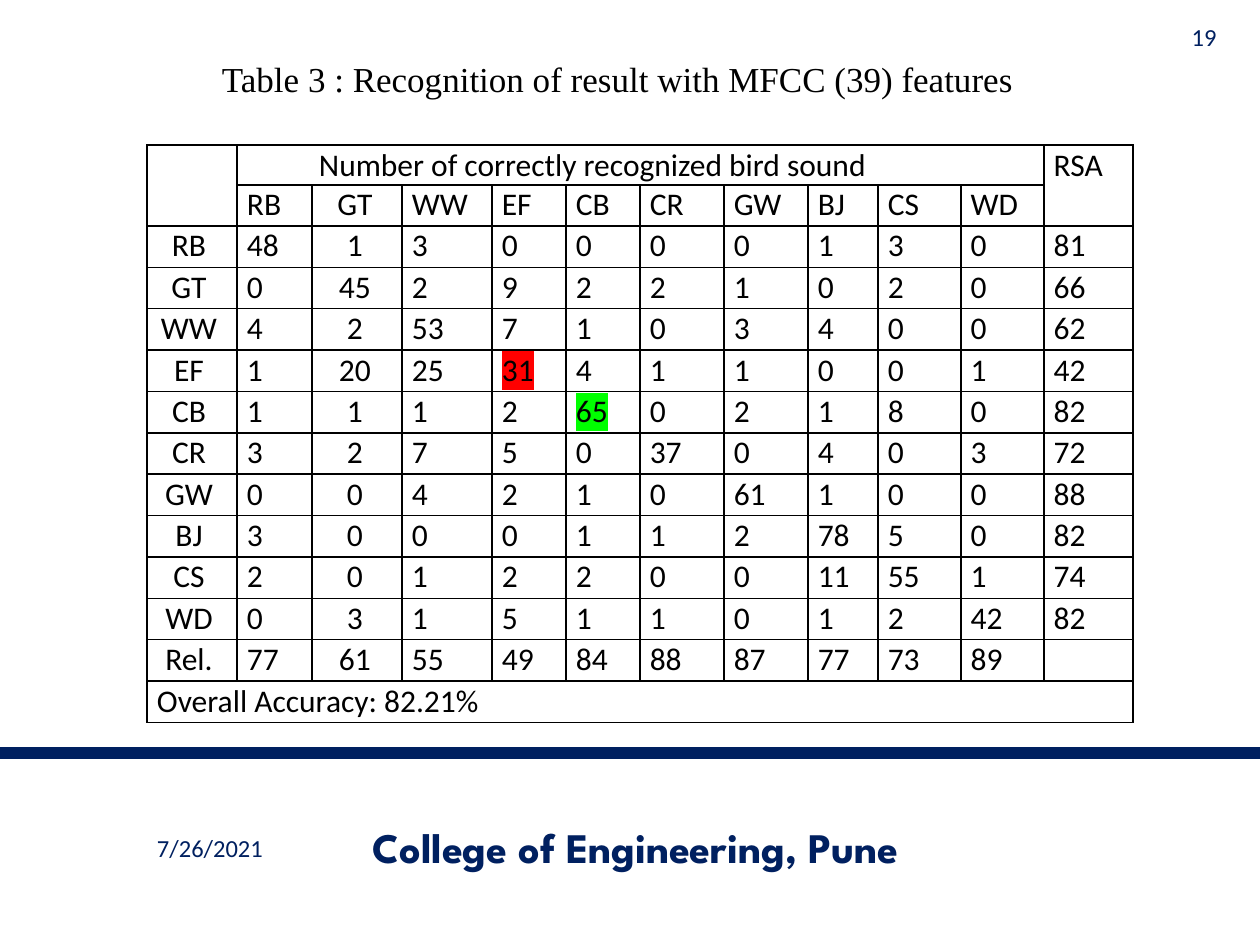
from dataclasses import dataclass

from lxml import etree
from pptx import Presentation
from pptx import util as u
from pptx.dml.color import RGBColor
from pptx.enum import shapes, text
from pptx.oxml.ns import qn

ALIGN = text.PP_ALIGN
ANCHOR = text.MSO_ANCHOR


@dataclass(frozen=True)
class Theme:
    navy: str = "002060"
    black: str = "000000"
    low: str = "FF0000"
    high: str = "00FF00"
    body_font: str = "Calibri"
    title_font: str = "Times New Roman"
    college_font: str = "League Spartan"
    small_size: int = 14
    table_size: int = 18
    title_size: int = 20
    college_size: int = 24
    rule_width: float = 6.5
    border_width: int = 1


THEME = Theme()
BIRDS = ["RB", "GT", "WW", "EF", "CB", "CR", "GW", "BJ", "CS", "WD"]
RESULTS = [
    [48, 1, 3, 0, 0, 0, 0, 1, 3, 0, 81],
    [0, 45, 2, 9, 2, 2, 1, 0, 2, 0, 66],
    [4, 2, 53, 7, 1, 0, 3, 4, 0, 0, 62],
    [1, 20, 25, 31, 4, 1, 1, 0, 0, 1, 42],
    [1, 1, 1, 2, 65, 0, 2, 1, 8, 0, 82],
    [3, 2, 7, 5, 0, 37, 0, 4, 0, 3, 72],
    [0, 0, 4, 2, 1, 0, 61, 1, 0, 0, 88],
    [3, 0, 0, 0, 1, 1, 2, 78, 5, 0, 82],
    [2, 0, 1, 2, 2, 0, 0, 11, 55, 1, 74],
    [0, 3, 1, 5, 1, 1, 0, 1, 2, 42, 82],
]
RELIABILITY = [77, 61, 55, 49, 84, 88, 87, 77, 73, 89, ""]
COLUMN_WIDTHS = [90, 75, 90, 90, 74, 74, 84, 84, 70, 83, 83, 89]
HEADER_HEIGHTS = [40, 41]
HIGHLIGHTS = {(5, 4): THEME.low, (6, 5): THEME.high}


def px(length):
    return u.Emu(round(length * 914400 / 126))


def place(shape, box):
    shape.left, shape.top, shape.width, shape.height = map(px, box)


def write(text_frame, words, font, size, color, align, bold=False):
    text_frame.text = words
    paragraph = text_frame.paragraphs[0]
    paragraph.alignment = align
    for run in paragraph.runs:
        run.font.name = font
        run.font.size = u.Pt(size)
        run.font.bold = bold
        run.font.color.rgb = RGBColor.from_string(color)


def add_label(slide, box, words, font, size, align, bold=False):
    frame = slide.shapes.add_textbox(*map(px, box)).text_frame
    frame.word_wrap = True
    frame.vertical_anchor = ANCHOR.MIDDLE
    write(frame, words, font, size, THEME.navy, align, bold)


def add_title(slide, box):
    title = slide.shapes.title
    place(title, box)
    frame = title.text_frame
    frame.auto_size = text.MSO_AUTO_SIZE.NONE
    frame.vertical_anchor = ANCHOR.TOP
    frame.margin_left, frame.margin_top = px(19), px(9)
    write(frame, "Table 3 : Recognition of result with MFCC (39) features",
          THEME.title_font, THEME.title_size, THEME.black, ALIGN.CENTER)


def add_footer(slide, box):
    """Heavy rule along the top of the box, date and college name below it."""
    left, top, width, height = box
    rule = slide.shapes.add_connector(
        shapes.MSO_CONNECTOR.STRAIGHT, px(left), px(top), px(left + width), px(top))
    rule.line.color.rgb = RGBColor.from_string(THEME.navy)
    rule.line.width = u.Pt(THEME.rule_width)
    etree.SubElement(rule._element.spPr, qn("a:effectLst"))
    add_label(slide, (left + 63, top + 70, 294, 50), "7/26/2021",
              THEME.body_font, THEME.small_size, ALIGN.CENTER)
    add_label(slide, (left + 305, top + 69, 661, 50), "College of Engineering, Pune",
              THEME.college_font, THEME.college_size, ALIGN.CENTER, bold=True)


def add_borders(cell):
    properties = cell._tc.get_or_add_tcPr()
    for index, side in enumerate(("lnL", "lnR", "lnT", "lnB")):
        line = etree.Element(qn(f"a:{side}"), w=str(u.Pt(THEME.border_width)))
        fill = etree.SubElement(line, qn("a:solidFill"))
        etree.SubElement(fill, qn("a:srgbClr"), val=THEME.black)
        properties.insert(index, line)


def highlight(run, color):
    mark = etree.Element(qn("a:highlight"))
    etree.SubElement(mark, qn("a:srgbClr"), val=color)
    run.font._element.find(qn("a:solidFill")).addnext(mark)


def format_cell(cell, words, left=10, right=0, align=ALIGN.LEFT):
    cell.fill.background()
    add_borders(cell)
    cell.margin_left, cell.margin_right = px(left), px(right)
    cell.margin_top, cell.margin_bottom = px(1), 0
    write(cell.text_frame, words, THEME.body_font, THEME.table_size, THEME.black, align)


def table_rows():
    blank = [""] * len(BIRDS)
    yield ["", "Number of correctly recognized bird sound", *blank[1:], "RSA"]
    yield ["", *BIRDS, ""]
    for bird, counts in zip(BIRDS, RESULTS):
        yield [bird, *counts]
    yield ["Rel.", *RELIABILITY]
    yield ["Overall Accuracy: 82.21%", *blank, ""]


def cell_layout(row, column, last_row):
    if (row, column) == (0, 1):
        return {"left": 82}
    if row == last_row or column > 2 or column == 1:
        return {}
    return {"left": 0, "right": 6 if column == 0 else 4, "align": ALIGN.CENTER}


def add_results_table(slide, box):
    rows = list(table_rows())
    last_row, last_column = len(rows) - 1, len(COLUMN_WIDTHS) - 1
    table = slide.shapes.add_table(
        len(rows), len(COLUMN_WIDTHS), *map(px, box)).table
    table.first_row = table.horz_banding = False
    for column, width in zip(table.columns, COLUMN_WIDTHS):
        column.width = px(width)
    body_height = (box[3] - sum(HEADER_HEIGHTS)) / (len(rows) - len(HEADER_HEIGHTS))
    for index, row in enumerate(table.rows):
        row.height = px(HEADER_HEIGHTS[index] if index < len(HEADER_HEIGHTS)
                        else body_height)

    for r, values in enumerate(rows):
        for c, value in enumerate(values):
            format_cell(table.cell(r, c), str(value), **cell_layout(r, c, last_row))
    for (r, c), color in HIGHLIGHTS.items():
        highlight(table.cell(r, c).text_frame.paragraphs[0].runs[0], color)

    for start, end in (((0, 0), (1, 0)), ((0, 1), (0, last_column - 1)),
                       ((0, last_column), (1, last_column)),
                       ((last_row, 0), (last_row, last_column))):
        table.cell(*start).merge(table.cell(*end))


def main():
    presentation = Presentation()
    presentation.slide_width, presentation.slide_height = px(1260), px(945)
    slide = presentation.slides.add_slide(presentation.slide_layouts[5])
    add_footer(slide, (0, 753, 1260, 192))
    add_label(slide, (1166, 19, 63, 35), "19",
              THEME.body_font, THEME.small_size, ALIGN.RIGHT)
    add_title(slide, (63, 48, 1103, 97))
    add_results_table(slide, (147, 145, sum(COLUMN_WIDTHS), 578))
    presentation.save("out.pptx")


if __name__ == "__main__":
    main()
